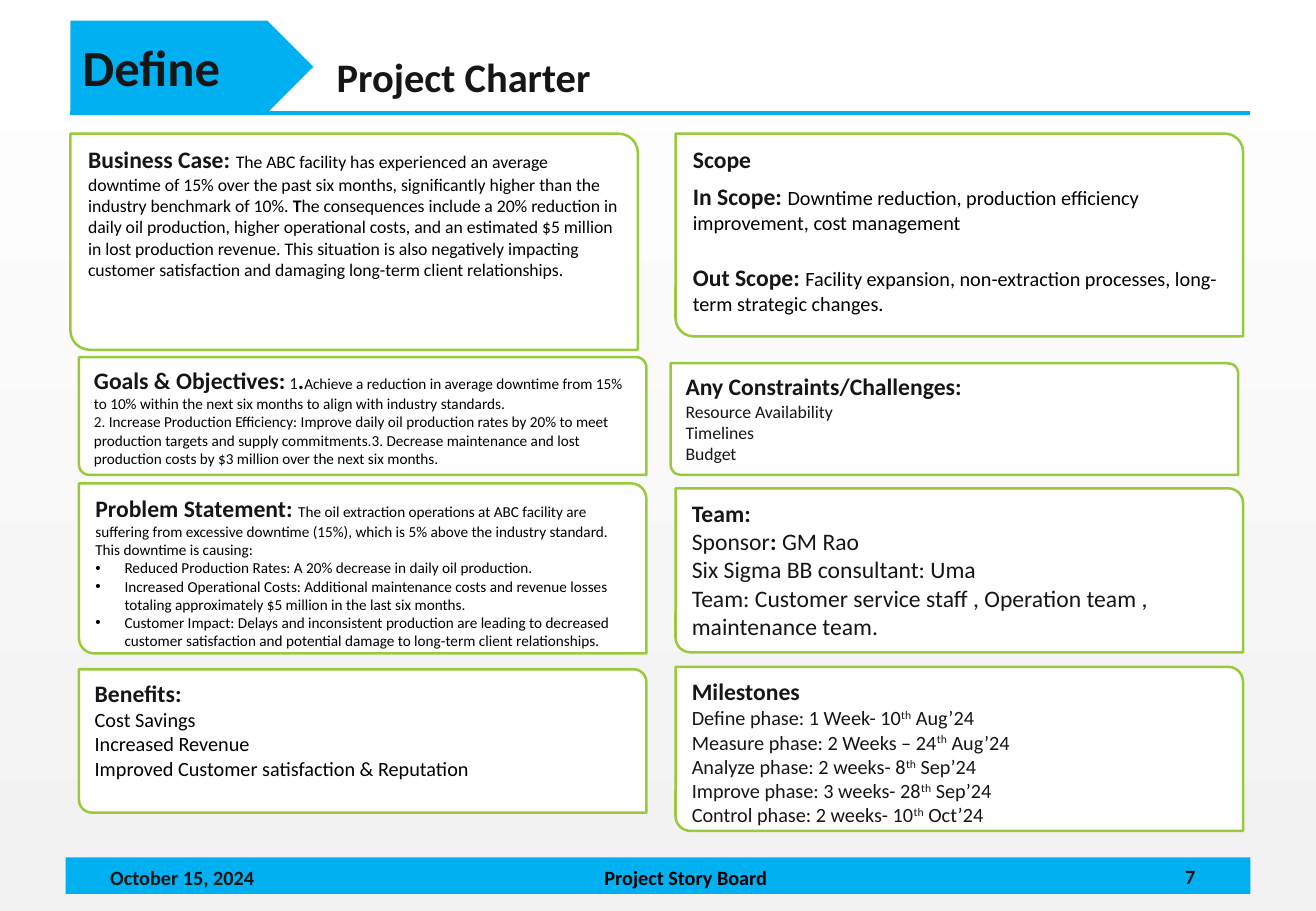
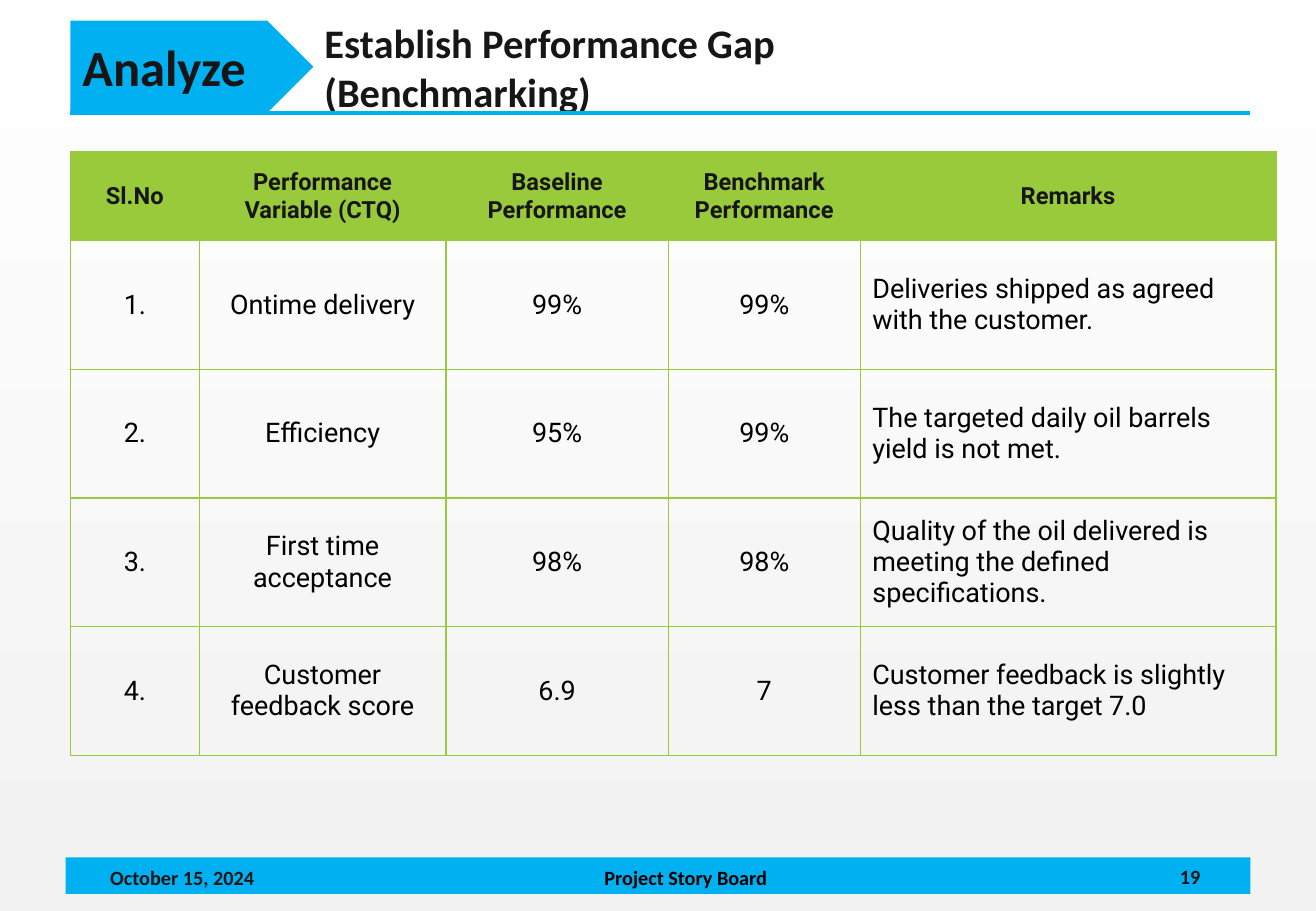
from pptx import Presentation
from pptx.dml.color import RGBColor
from pptx.enum.shapes import MSO_CONNECTOR, MSO_SHAPE
from pptx.enum.text import MSO_ANCHOR, PP_ALIGN
from pptx.oxml.ns import qn
from pptx.util import Pt
from lxml.etree import SubElement

PX = 9144  # EMU in one px, 100 px to the inch
BLUE, GREEN, INK, BLACK, WHITE, MIST = (
    "00B0F0", "98CA3C", "161616", "000000", "FFFFFF", "F2F2F2")
LEFT, MID = PP_ALIGN.LEFT, PP_ALIGN.CENTER


def px(*nums):
    """Turn px lengths into EMU."""
    return [n * PX for n in nums]


def rgb(code):
    return RGBColor.from_string(code)


def run(text, **form):
    return text, form


def head(text):
    return run(text, size=14, bold=True, color=INK)


def line(*runs, gap=0, dot=False):
    """Describe one paragraph: its runs, space before in points, and bullet."""
    return runs, gap, dot


def day(text, month):
    """A milestone whose date carries a raised 'th'."""
    return line(run(text), run("th", base=30), run(" " + month))


def put(para, text, size=12, bold=False, color=BLACK, font="Calibri", base=0):
    """Add one formatted run; base is the superscript rise in percent."""
    part = para.add_run()
    part.text = text
    part.font.size, part.font.bold, part.font.name = Pt(size), bold, font
    part.font.color.rgb = rgb(color)
    if base:
        part.font._element.set("baseline", str(base * 1000))


def fill(frame, lines, align=LEFT, **form):
    """Write lines (strings or line() items) into a text frame."""
    frame.word_wrap = True
    for i, item in enumerate(lines):
        runs, gap, dot = line(run(item)) if isinstance(item, str) else item
        para = frame.add_paragraph() if i else frame.paragraphs[0]
        para.alignment = align
        if gap:
            para.space_before = Pt(gap)
        if dot:
            props = para._p.get_or_add_pPr()
            props.set("marL", str(24 * PX))
            props.set("indent", str(-24 * PX))
            SubElement(props, qn("a:buFont")).set("typeface", "Arial")
            SubElement(props, qn("a:buChar")).set("char", "•")
        for text, own in runs:
            put(para, text, **{**form, **own})


def edge(cell, color, width):
    """Draw all four borders of a table cell."""
    props = cell._tc.get_or_add_tcPr()
    for i, side in enumerate(("lnL", "lnR", "lnT", "lnB")):
        rule = props.makeelement(qn("a:" + side), {"w": str(Pt(width))})
        solid = SubElement(rule, qn("a:solidFill"))
        SubElement(solid, qn("a:srgbClr")).set("val", color)
        props.insert(i, rule)


class Deck:
    def __init__(self):
        self.show = Presentation()
        self.show.slide_width, self.show.slide_height = px(1083, 750)
        self.slide = None

    def open(self, phase, title, page, x, y):
        """Start a slide with its background, footer, phase tag and title."""
        self.slide = self.show.slides.add_slide(self.show.slide_layouts[6])
        back = self.slide.background.fill
        back.gradient()
        back.gradient_angle = 270
        for stop, code in zip(back.gradient_stops, (WHITE, MIST)):
            stop.color.rgb = rgb(code)
        self.shape(MSO_SHAPE.RECTANGLE, 54, 706, 975, 30, BLUE)
        self.text(["Project Story Board"], 373, 712, 383, 30, pad=0,
                  anchor=MSO_ANCHOR.TOP, align=MID, bold=True)
        self.text([page], 952, 706, 55, 31, align=MID, bold=True, color=INK)
        self.text(["October 15, 2024"], 75, 713, 150, 18, align=MID,
                  bold=True, color=INK)
        self.text(title, x, y, 740, 60, pad=0, size=24, bold=True, color=INK)
        tag = self.shape(MSO_SHAPE.PENTAGON, 58, 17, 200, 76, BLUE)
        tag.text_frame.vertical_anchor = MSO_ANCHOR.MIDDLE
        fill(tag.text_frame, [phase], size=30, bold=True, color=INK)
        self.rule(58, 93, 1029, 93)

    def shape(self, kind, x, y, w, h, color):
        item = self.slide.shapes.add_shape(kind, *px(x, y, w, h))
        item.shadow.inherit = False
        item.fill.solid()
        item.fill.fore_color.rgb = rgb(color)
        item.line.fill.background()
        return item

    def text(self, lines, x, y, w, h, pad=None, anchor=MSO_ANCHOR.MIDDLE, **form):
        frame = self.slide.shapes.add_textbox(*px(x, y, w, h)).text_frame
        frame.vertical_anchor = anchor
        if pad is not None:
            frame.margin_left = frame.margin_right = pad * PX
            frame.margin_top = frame.margin_bottom = pad * PX
        fill(frame, lines, **form)

    def rule(self, x1, y1, x2, y2):
        item = self.slide.shapes.add_connector(
            MSO_CONNECTOR.STRAIGHT, *px(x1, y1, x2, y2))
        item.line.color.rgb = rgb(BLUE)
        item.line.width = Pt(2.25)
        SubElement(item._element.spPr, qn("a:effectLst"))

    def card(self, x, y, h, lines, **form):
        item = self.shape(MSO_SHAPE.ROUND_2_DIAG_RECTANGLE, x, y, 467, h, WHITE)
        item.adjustments[0], item.adjustments[1] = 0, 0.09
        item.line.color.rgb = rgb(GREEN)
        item.line.width = Pt(1.5)
        item.text_frame.vertical_anchor = MSO_ANCHOR.TOP
        fill(item.text_frame, lines, **form)

    def table(self, x, y, cols, rows, data):
        """Draw a table whose first row is the heading."""
        grid = self.slide.shapes.add_table(
            len(rows), len(cols), *px(x, y, sum(cols), sum(rows))).table
        grid.first_row = grid.horz_banding = False
        for col, w in zip(grid.columns, cols):
            col.width = w * PX
        for row, h in zip(grid.rows, rows):
            row.height = h * PX
        for r, texts in enumerate(data):
            for c, text in enumerate(texts):
                cell = grid.cell(r, c)
                cell.vertical_anchor = MSO_ANCHOR.MIDDLE
                if r:
                    cell.fill.background()
                    form = dict(size=16)
                else:
                    cell.fill.solid()
                    cell.fill.fore_color.rgb = rgb(GREEN)
                    form = dict(size=14, bold=True, color=INK)
                last = r and c == len(cols) - 1
                fill(cell.text_frame, text.split("\n"), font="Roboto",
                     align=LEFT if last else MID, **form)
                edge(cell, GREEN, 1)


def charter(deck):
    deck.open("Define", ["Project Charter"], "7", 277, 33)
    deck.card(58, 110, 178, [line(
        head("Business Case: "),
        run("The ABC facility has experienced an average downtime of 15% over "
            "the past six months, significantly higher than the industry "
            "benchmark of 10%. "),
        run("T", bold=True),
        run("he consequences include a 20% reduction in daily oil production, "
            "higher operational costs, and an estimated $5 million in lost "
            "production revenue. This situation is also negatively impacting "
            "customer satisfaction and damaging long-term client "
            "relationships."))], size=10.5)
    deck.card(65, 294, 97, [
        line(head("Goals & Objectives:"), run(" 1", size=10, color=INK), head("."),
             run("Achieve a reduction in average downtime from 15% to 10% within "
                 "the next six months to align with industry standards.")),
        line(run("2. ", color=INK),
             run("Increase Production Efficiency: Improve daily oil production "
                 "rates by 20% to meet production targets and supply "
                 "commitments.3. Decrease maintenance and lost production costs "
                 "by $3 million over the next six months."))], size=9)
    deck.card(65, 398, 140, [
        line(head("Problem Statement: "),
             run("The oil extraction operations at ABC facility are suffering "
                 "from excessive downtime (15%), which is 5% above the industry "
                 "standard. This downtime is causing:")),
        line(run("Reduced Production Rates: A 20% decrease in daily oil "
                 "production."), dot=True),
        line(run("Increased Operational Costs: Additional maintenance costs and "
                 "revenue losses totaling approximately $5 million in the last "
                 "six months."), dot=True),
        line(run("Customer Impact: Delays and inconsistent production are "
                 "leading to decreased customer satisfaction and potential "
                 "damage to long-term client relationships."), dot=True)], size=9)
    deck.card(65, 551, 118, [
        line(head("Benefits:")), "Cost Savings", "Increased Revenue",
        "Improved Customer satisfaction & Reputation"])
    deck.card(556, 110, 167, [
        line(head("Scope")),
        line(head("In Scope: "),
             run("Downtime reduction, production efficiency improvement, cost "
                 "management"), gap=5),
        line(head("Out Scope: "),
             run("Facility expansion, non-extraction processes, long-term "
                 "strategic changes."), gap=17)])
    deck.card(552, 299, 92, [
        line(head("Any Constraints/Challenges:")), "Resource Availability",
        "Timelines", "Budget"], size=10.5, color=INK)
    deck.card(556, 402, 135, [
        line(head("Team:")),
        line(run("Sponsor"), head(": "), run("GM Rao")),
        "Six Sigma BB consultant: Uma",
        "Team: Customer service staff , Operation team , maintenance team."],
        size=14, color=INK)
    deck.card(556, 549, 135, [
        line(head("Milestones")),
        day("Define phase: 1 Week- 10", "Aug’24"),
        day("Measure phase: 2 Weeks – 24", "Aug’24"),
        day("Analyze phase: 2 weeks- 8", "Sep’24"),
        day("Improve phase: 3 weeks- 28", "Sep’24"),
        day("Control phase: 2 weeks- 10", "Oct’24")], color=INK)


def gap(deck):
    deck.open("Analyze", ["Establish Performance Gap", "(Benchmarking)"],
              "19", 267, 25)
    deck.table(58, 125, [106, 203, 183, 158, 342], [73] + [106] * 4, [
        ("Sl.No", "Performance Variable (CTQ)", "Baseline Performance",
         "Benchmark\nPerformance", "Remarks"),
        ("1.", "Ontime delivery", "99%", "99%",
         "Deliveries shipped as agreed with the customer."),
        ("2.", "Efficiency", "95%", "99%",
         "The targeted daily oil barrels yield is not met."),
        ("3.", "First time acceptance", "98%", "98%",
         "Quality of the oil delivered is meeting the defined specifications."),
        ("4.", "Customer feedback score", "6.9", "7",
         "Customer feedback is slightly less than the target 7.0")])


def main():
    deck = Deck()
    charter(deck)
    gap(deck)
    deck.show.save("out.pptx")


if __name__ == "__main__":
    main()
